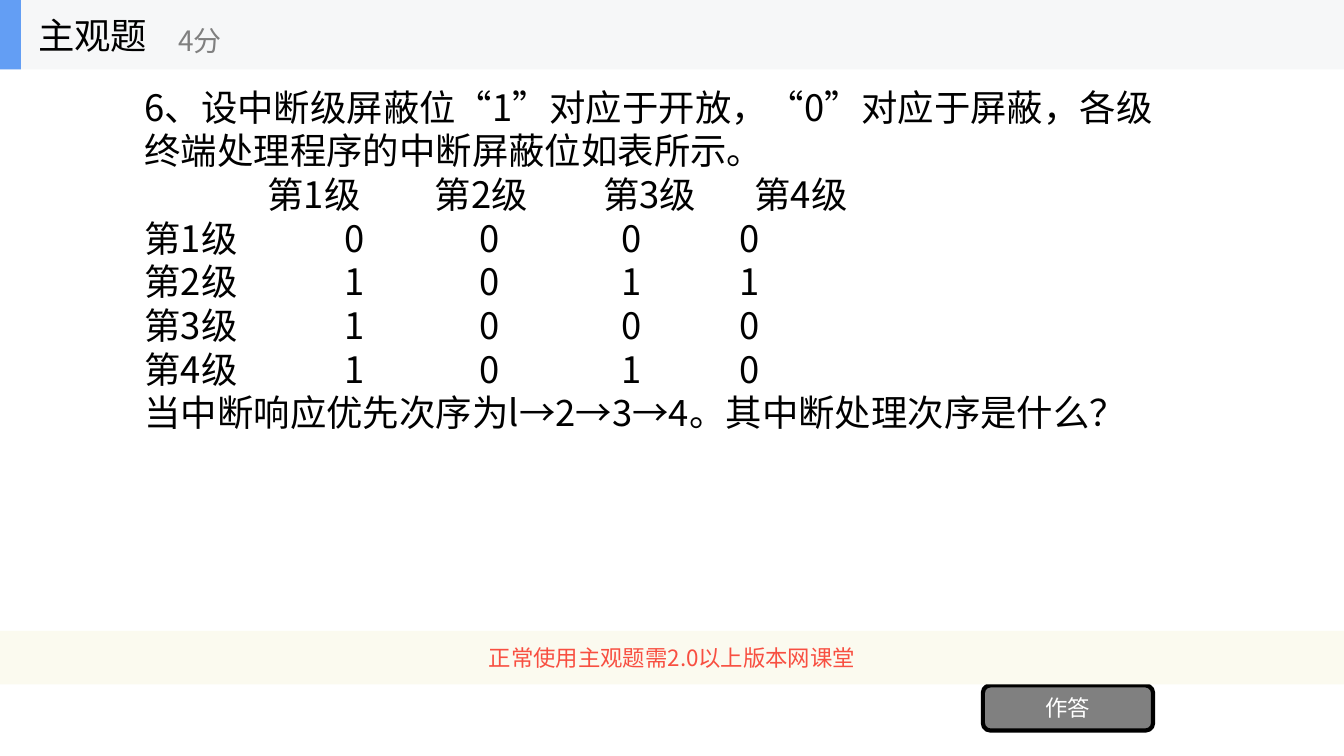
from lxml import etree
from pptx import Presentation
from pptx.dml.color import RGBColor
from pptx.enum.shapes import MSO_SHAPE
from pptx.enum.text import MSO_ANCHOR, PP_ALIGN
from pptx.oxml.ns import qn
from pptx.util import Cm, Pt

RECT = MSO_SHAPE.RECTANGLE
ROUND = MSO_SHAPE.ROUNDED_RECTANGLE
MIDDLE = MSO_ANCHOR.MIDDLE
LEFT = PP_ALIGN.LEFT
CENTER = PP_ALIGN.CENTER

FONT = "Noto Sans CJK SC"
WIDTH = 33.87
HEAD = 1.75
LEVELS = ["第1级", "第2级", "第3级", "第4级"]
MASKS = ["0000", "1011", "1000", "1010"]
HEAD_TABS = [3.1, 7.32, 11.56, 15.37]
MASK_TABS = [5.04, 8.44, 12.02, 15]


def color(text):
    """Turn a hex string into a colour."""
    return RGBColor.from_string(text)


def write(shape, lines, size, tint, align=LEFT, wrap=True):
    """Put styled lines of text into a shape."""
    frame = shape.text_frame
    frame.text = "\n".join(lines)
    frame.word_wrap = wrap
    frame.vertical_anchor = MIDDLE
    for para in frame.paragraphs:
        para.alignment = align
        for run in para.runs:
            font = run.font
            font.size = Pt(size)
            font.color.rgb = color(tint)
            font.name = FONT
            props = run._r.get_or_add_rPr()
            etree.SubElement(props, qn("a:ea"), typeface=FONT)


def add_block(slide, box, fill, kind=RECT):
    """Add a filled shape with no outline."""
    shape = slide.shapes.add_shape(kind, *map(Cm, box))
    shape.shadow.inherit = False
    shape.fill.solid()
    shape.fill.fore_color.rgb = color(fill)
    shape.line.fill.background()
    return shape


def add_text(slide, box, lines, size, tint, wrap=False):
    """Add a text box and return its paragraphs."""
    shape = slide.shapes.add_textbox(*map(Cm, box))
    write(shape, lines, size, tint, wrap=wrap)
    return shape.text_frame.paragraphs


def set_tabs(para, stops):
    """Give a paragraph left tab stops in centimetres."""
    tabs = etree.SubElement(para._p.get_or_add_pPr(), qn("a:tabLst"))
    for stop in stops:
        etree.SubElement(tabs, qn("a:tab"), pos=str(Cm(stop)), algn="l")


def add_question(slide):
    """Add the question with its mask grid set on tab stops."""
    rows = ["\t".join(["", *LEVELS])]
    rows += ["\t".join([level, *mask]) for level, mask in zip(LEVELS, MASKS)]
    lines = [
        "6、设中断级屏蔽位“1”对应于开放，“0”对应于屏蔽，各级终端处理程序的中断屏蔽位如表所示。",
        *rows,
        "当中断响应优先次序为l→2→3→4。其中断处理次序是什么？",
    ]
    box = (3.39, HEAD, 26.75, 9.58)
    paras = add_text(slide, box, lines, 26, "000000", wrap=True)
    set_tabs(paras[1], HEAD_TABS)
    for para in paras[2:-1]:
        set_tabs(para, MASK_TABS)


def add_footer(slide):
    """Add the answer button and the notice band."""
    button = add_block(slide, (24.77, 17.27, 4.29, 1.14), "808080", ROUND)
    button.line.color.rgb = color("000000")
    button.line.width = Pt(3)
    write(button, ["作答"], 16, "FFFFFF", CENTER)
    band = add_block(slide, (0, 15.9, WIDTH, 1.35), "FBFAEF")
    write(band, ["正常使用主观题需2.0以上版本网课堂"], 16, "F84F41", CENTER)


def add_header(slide):
    """Add the title bar with the score."""
    add_block(slide, (0, 0, WIDTH, HEAD), "F6F7F8")
    add_block(slide, (0, 0, 0.53, HEAD), "639EF4")
    add_text(slide, (0.71, 0, 5.28, HEAD), ["主观题"], 26, "000000")
    add_text(slide, (4.24, 0.3, 6.35, 1.42), ["4分"], 20, "808080")


def main():
    """Build the slide and save it."""
    deck = Presentation()
    deck.slide_width = Cm(WIDTH)
    deck.slide_height = Cm(19.05)
    slide = deck.slides.add_slide(deck.slide_layouts[6])
    add_question(slide)
    add_footer(slide)
    add_header(slide)
    deck.save("out.pptx")


if __name__ == "__main__":
    main()
